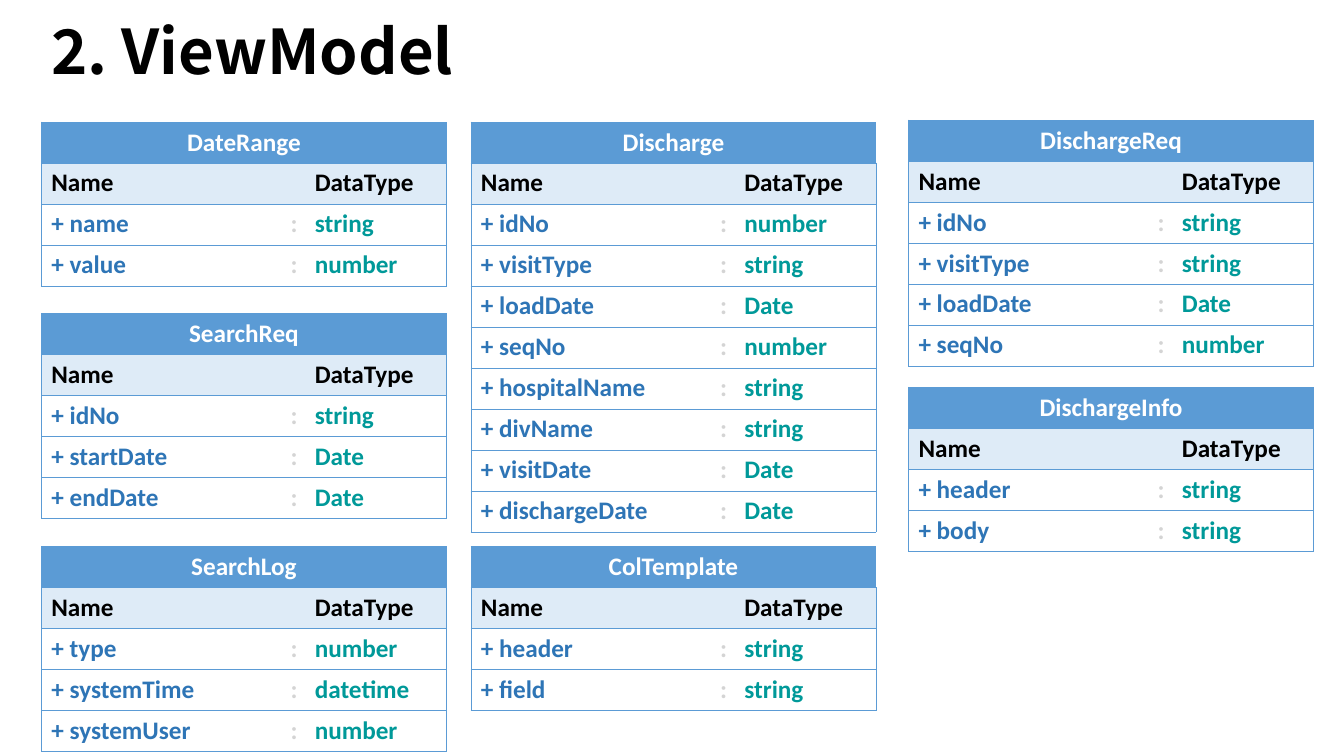
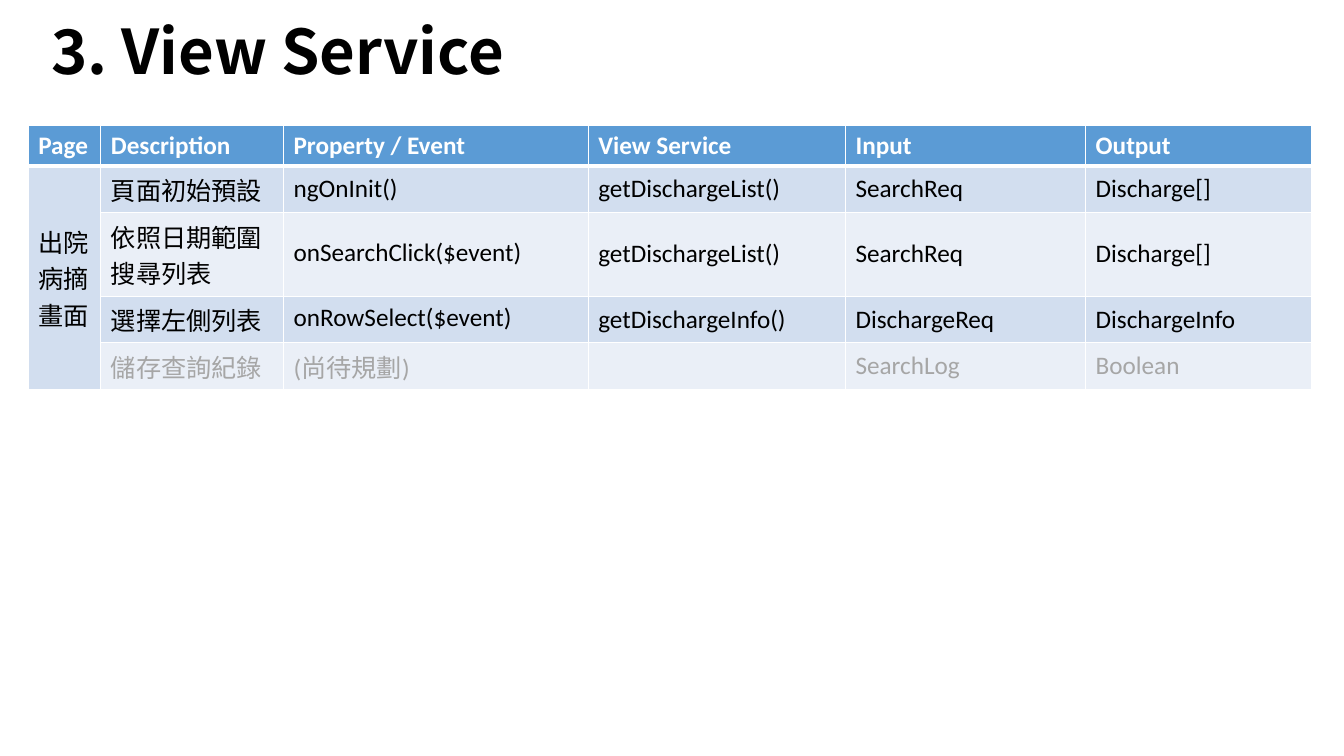
from dataclasses import dataclass

from lxml import etree
from pptx import Presentation
from pptx import util as u
from pptx.dml.color import RGBColor
from pptx.enum import text
from pptx.oxml import ns


@dataclass(frozen=True)
class Theme:
    # Fonts and type sizes
    latin: str = "Calibri"
    cjk: str = "Noto Sans CJK SC"
    title_size: int = 44
    body_size: int = 18
    handler_spacing: int = 20
    # Colours
    black: str = "000000"
    white: str = "FFFFFF"
    blue: str = "5B9BD5"
    pale_blue: str = "DEEBF7"
    field: str = "2E75B6"
    colon: str = "D4D4D4"
    datatype: str = "009999"
    muted: str = "A6A6A6"
    bands: tuple = ("D2DEEF", "EAEFF7")
    # Table metrics
    row: int = u.Pt(29.3)
    line: float = 0.5
    rule: float = 1
    heavy_rule: float = 3


T = Theme()
TITLE_BOX = (0.41, -0.1, 9.3, 1.28)

# Model cards: left edge of each column, then (top, name, fields)
CARD_WIDTH = 4.02
CARD_SHARES = (0.59, 0.06, 0.35)
CARD_COLUMNS = {
    0.41: [
        (1.21, "DateRange", {"name": "string", "value": "number"}),
        (3.11, "SearchReq",
         {"idNo": "string", "startDate": "Date", "endDate": "Date"}),
        (5.42, "SearchLog",
         {"type": "number", "systemTime": "datetime", "systemUser": "number"}),
    ],
    4.67: [
        (1.21, "Discharge",
         {"idNo": "number", "visitType": "string", "loadDate": "Date",
          "seqNo": "number", "hospitalName": "string", "divName": "string",
          "visitDate": "Date", "dischargeDate": "Date"}),
        (5.42, "ColTemplate", {"header": "string", "field": "string"}),
    ],
    9.01: [
        (1.19, "DischargeReq",
         {"idNo": "string", "visitType": "string", "loadDate": "Date",
          "seqNo": "number"}),
        (3.84, "DischargeInfo", {"header": "string", "body": "string"}),
    ],
}

# Service table: column and row weights, then the cells
SERVICE_BOX = (0.28, 1.24, 12.73, 2.61)
SERVICE_COLS = (0.72, 1.81, 3.02, 2.55, 2.38, 2.24)
SERVICE_ROWS = (0.4, 0.46, 0.83, 0.46, 0.46)
SERVICES = [
    ("Page", "Description", "Property / Event", "View Service", "Input", "Output"),
    ("出院病摘畫面", "頁面初始預設", "ngOnInit()", "getDischargeList()",
     "SearchReq", "Discharge[]"),
    ("", "依照日期範圍搜尋列表", "onSearchClick($event)", "getDischargeList()",
     "SearchReq", "Discharge[]"),
    ("", "選擇左側列表", "onRowSelect($event)", "getDischargeInfo()",
     "DischargeReq", "DischargeInfo"),
    ("", "儲存查詢紀錄", "(尚待規劃)", "", "SearchLog", "Boolean"),
]


def style_run(r, size, color, bold, latin=T.latin):
    r.font.size = u.Pt(size)
    r.font.bold = bold
    r.font.color.rgb = RGBColor.from_string(color)
    r.font.name = latin
    ea = etree.SubElement(r.font._element, ns.qn("a:ea"))
    ea.set("typeface", T.cjk)


def set_borders(cell, color, **widths):
    """Draw the sides L, R, T and B; a side with no width stays bare."""
    tcPr = cell._tc.get_or_add_tcPr()
    for side in "LRTB":
        width = widths.get(side, 0)
        ln = etree.SubElement(tcPr, ns.qn("a:ln" + side), w=str(u.Pt(width)))
        if width:
            fill = etree.SubElement(ln, ns.qn("a:solidFill"))
            etree.SubElement(fill, ns.qn("a:srgbClr"), val=color)
        else:
            etree.SubElement(ln, ns.qn("a:noFill"))


def fill_cell(cell, words, color, fill=None, bold=False, center=False,
              anchor=text.MSO_ANCHOR.TOP):
    if fill:
        cell.fill.solid()
        cell.fill.fore_color.rgb = RGBColor.from_string(fill)
    else:
        cell.fill.background()
    cell.vertical_anchor = anchor
    p = cell.text_frame.paragraphs[0]
    if center:
        p.alignment = text.PP_ALIGN.CENTER
    if words:
        p.text = words
        style_run(p.runs[0], T.body_size, color, bold)
    return p


def add_grid(s, left, top, widths, heights):
    """Add a plain table whose columns and rows have the given lengths."""
    frame = s.shapes.add_table(len(heights), len(widths), left, top,
                               sum(widths), sum(heights))
    tbl = frame.table
    tbl.first_row = tbl.horz_banding = False
    for col, width in zip(tbl.columns, widths):
        col.width = width
    for row, height in zip(tbl.rows, heights):
        row.height = height
    return tbl


def split(length, weights):
    return [int(u.Inches(length) * w / sum(weights)) for w in weights]


def titled_slide(prs, words):
    s = prs.slides.add_slide(prs.slide_layouts[5])
    title = s.shapes.title
    title.left, title.top, title.width, title.height = map(u.Inches, TITLE_BOX)
    tf = title.text_frame
    tf.text = words
    tf.vertical_anchor = text.MSO_ANCHOR.MIDDLE
    tf.auto_size = text.MSO_AUTO_SIZE.NONE
    p = tf.paragraphs[0]
    p.alignment = text.PP_ALIGN.LEFT
    p.line_spacing = 0.9
    style_run(p.runs[0], T.title_size, T.black, True, T.cjk)
    return s


def model_card(s, left, top, name, fields):
    rows = [(name, "", ""), ("Name", "", "DataType")]
    rows += [(f"+ {field}", ":", kind) for field, kind in fields.items()]
    tbl = add_grid(s, u.Inches(left), u.Inches(top),
                   split(CARD_WIDTH, CARD_SHARES), [T.row] * len(rows))
    tbl.cell(0, 0).merge(tbl.cell(0, 2))
    heads = [(T.white, T.blue), (T.black, T.pale_blue)]
    for i, row in enumerate(rows):
        for j, words in enumerate(row):
            cell = tbl.cell(i, j)
            set_borders(cell, T.blue, T=T.line, B=T.line,
                        L=T.line if j == 0 else 0, R=T.line if j == 2 else 0)
            if i < 2:
                color, fill = heads[i]
            else:
                color, fill = (T.field, T.colon, T.datatype)[j], None
            fill_cell(cell, words, color, fill, bold=True, center=i == 0)


def service_table(s, left, top, width, height):
    tbl = add_grid(s, u.Inches(left), u.Inches(top),
                   split(width, SERVICE_COLS), split(height, SERVICE_ROWS))
    last = len(SERVICES) - 1
    tbl.cell(1, 0).merge(tbl.cell(last, 0))
    for i, row in enumerate(SERVICES):
        for j, words in enumerate(row):
            cell = tbl.cell(i, j)
            set_borders(cell, T.white, L=T.rule, R=T.rule,
                        T=T.heavy_rule if i == 1 else T.rule,
                        B=T.heavy_rule if i == 0 else T.rule)
            if i == 0:
                color, fill = T.white, T.blue
            else:
                color = T.muted if i == last else T.black
                fill = T.bands[0 if j == 0 else (i - 1) % 2]
            p = fill_cell(cell, words, color, fill, bold=i == 0,
                          anchor=text.MSO_ANCHOR.MIDDLE)
            # Event handlers have a fixed line height
            if "$event" in words:
                p.line_spacing = u.Pt(T.handler_spacing)


def main():
    prs = Presentation()
    prs.slide_width, prs.slide_height = u.Inches(13.33), u.Inches(7.5)

    # View models
    s = titled_slide(prs, "2. ViewModel")
    for left, cards in CARD_COLUMNS.items():
        for top, name, fields in cards:
            model_card(s, left, top, name, fields)

    # View services
    s = titled_slide(prs, "3. View Service")
    service_table(s, *SERVICE_BOX)

    prs.save("out.pptx")


if __name__ == "__main__":
    main()
